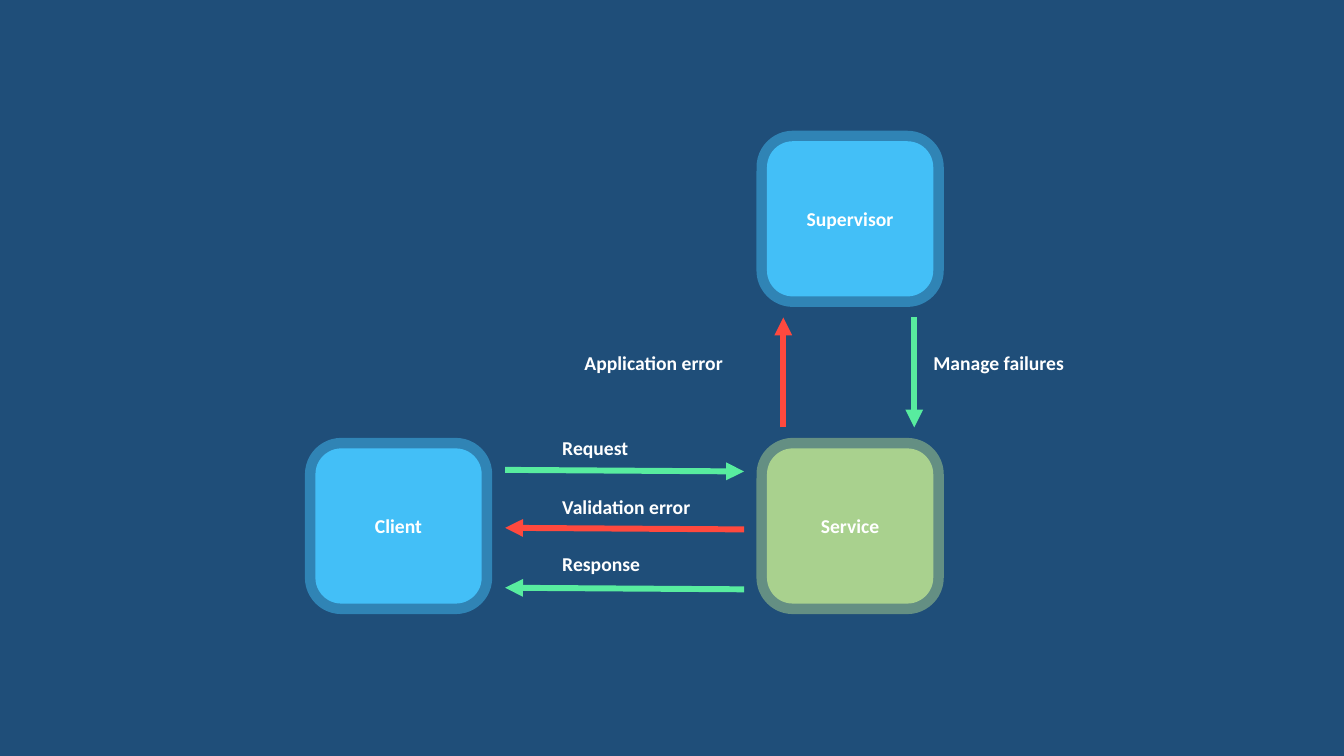
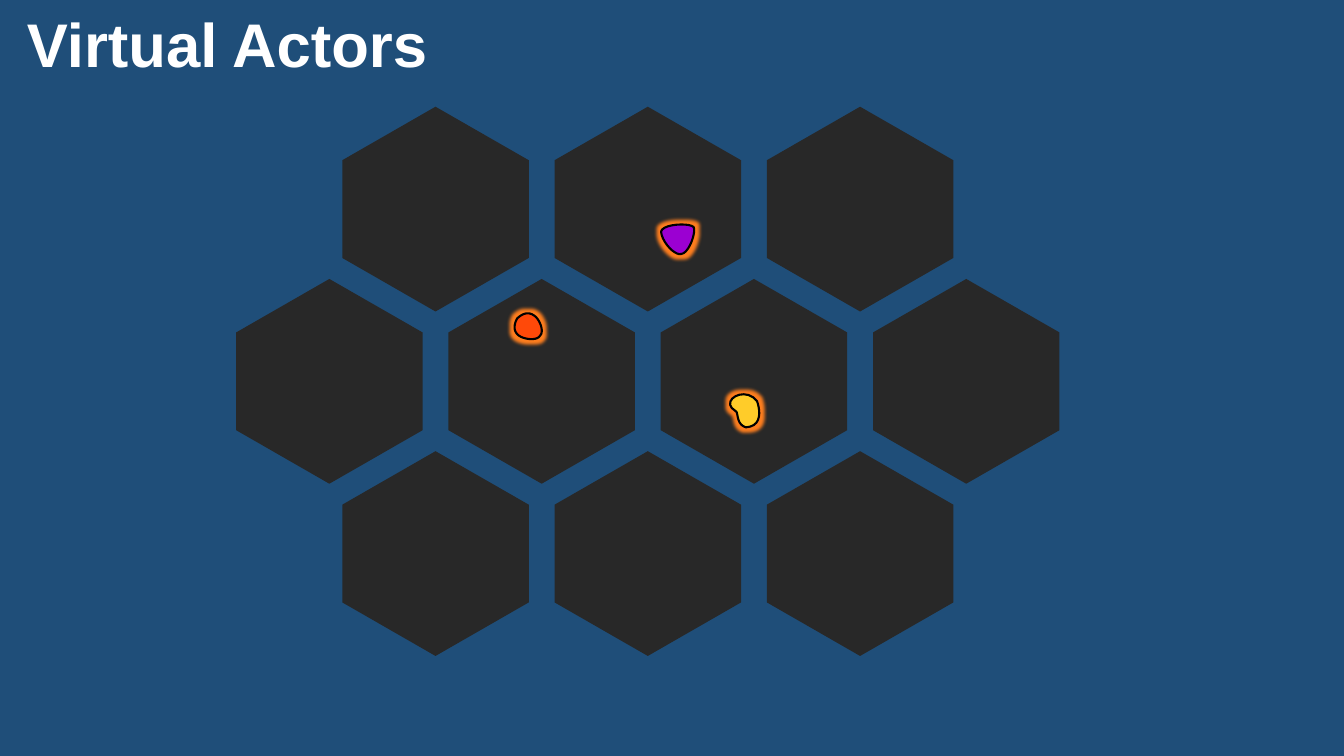
from lxml import etree
from pptx import Presentation
from pptx import util as u
from pptx.dml.color import RGBColor
from pptx.enum import shapes, text
from pptx.oxml import ns

NAVY = RGBColor(0x1F, 0x4E, 0x79)
SKY = RGBColor(0x43, 0xBF, 0xF7)
LEAF = RGBColor(0xA9, 0xD1, 0x8E)
GREEN = RGBColor(0x58, 0xEC, 0x9F)
RED = RGBColor(0xFF, 0x49, 0x3E)
WHITE = RGBColor(0xFF, 0xFF, 0xFF)
BLACK = RGBColor(0x00, 0x00, 0x00)
CHARCOAL = RGBColor(0x28, 0x28, 0x28)
YELLOW = RGBColor(0xFF, 0xCC, 0x29)
ORANGE = RGBColor(0xFF, 0x49, 0x09)
PURPLE = RGBColor(0x9B, 0x00, 0xD2)
GLOW = RGBColor(0xFF, 0x7F, 0x1F)

SLIDE_W, SLIDE_H = 33.87, 19.05
TITLE_ONLY, BLANK = 5, 6


def add_xml(parent, tag, **attributes):
    """Append a DrawingML child and return it."""
    return etree.SubElement(parent, ns.qn(tag), attributes)


def bezier(start, first, second, end, steps=10):
    """Return points along a cubic curve, without its start."""
    points = []
    for step in range(1, steps + 1):
        t = step / steps
        weights = ((1 - t) ** 3, 3 * t * (1 - t) ** 2, 3 * t * t * (1 - t), t ** 3)
        corners = (start, first, second, end)
        points.append(tuple(sum(w * c[axis] for w, c in zip(weights, corners))
                            for axis in (0, 1)))
    return points


class Deck:
    """Holds the shared style and the current slide."""

    def __init__(self):
        """Start a wide presentation with a navy master."""
        self.prs = Presentation()
        self.prs.slide_width, self.prs.slide_height = u.Cm(SLIDE_W), u.Cm(SLIDE_H)
        backdrop = self.prs.slide_master.background.fill
        backdrop.solid()
        backdrop.fore_color.rgb = NAVY
        self.slide = None

    def new_slide(self, layout):
        """Add a slide and make it current."""
        self.slide = self.prs.slides.add_slide(self.prs.slide_layouts[layout])

    def set_text(self, frame, wording, size=14, font="Calibri",
                 align=text.PP_ALIGN.LEFT):
        """Put bold white text in a frame."""
        frame.text = wording
        paragraph = frame.paragraphs[0]
        paragraph.alignment = align
        style = paragraph.runs[0].font
        style.size, style.name, style.bold = u.Pt(size), font, True
        style.color.rgb = WHITE

    def title(self, wording):
        """Place the title across the top of the slide."""
        heading = self.slide.shapes.title
        heading.left, heading.top = u.Cm(0), u.Cm(0.03)
        heading.width, heading.height = u.Cm(SLIDE_W), u.Cm(2.13)
        frame = heading.text_frame
        frame.margin_left = u.Cm(0.68)
        frame.vertical_anchor = text.MSO_ANCHOR.TOP
        self.set_text(frame, wording, 44, "Arial")

    def shape(self, kind, left, top, width, height, color):
        """Add a flat filled preset shape."""
        figure = self.slide.shapes.add_shape(
            kind, u.Cm(left), u.Cm(top), u.Cm(width), u.Cm(height))
        figure.shadow.inherit = False
        figure.fill.solid()
        figure.fill.fore_color.rgb = color
        return figure

    def node(self, name, left, top, color, opacity):
        """Add a rounded box with a translucent rim."""
        box = self.shape(shapes.MSO_SHAPE.ROUNDED_RECTANGLE,
                         left, top, 4.19, 3.91, color)
        box.line.color.rgb = color
        box.line.width = u.Pt(15)
        rim = box.element.spPr.get_or_add_ln().find(".//" + ns.qn("a:srgbClr"))
        add_xml(rim, "a:alpha", val=str(opacity * 1000))
        box.text_frame.vertical_anchor = text.MSO_ANCHOR.MIDDLE
        self.set_text(box.text_frame, name, align=text.PP_ALIGN.CENTER)

    def arrow(self, start, end, color):
        """Add a thick arrow that points at its end."""
        flow = self.slide.shapes.add_connector(
            shapes.MSO_CONNECTOR.STRAIGHT, *map(u.Cm, start + end))
        flow.line.color.rgb = color
        flow.line.width = u.Pt(4.25)
        properties = flow.element.spPr
        add_xml(properties.get_or_add_ln(), "a:tailEnd", type="triangle")
        add_xml(properties, "a:effectLst")

    def label(self, wording, left, top, width):
        """Add a one-line caption."""
        caption = self.slide.shapes.add_textbox(
            u.Cm(left), u.Cm(top), u.Cm(width), u.Cm(0.86))
        frame = caption.text_frame
        frame.word_wrap = False
        frame.auto_size = text.MSO_AUTO_SIZE.SHAPE_TO_FIT_TEXT
        self.set_text(frame, wording)

    def hexagon(self, left, top):
        """Add a hexagon standing on its point."""
        cell = self.shape(shapes.MSO_SHAPE.HEXAGON, left, top, 5.16, 4.7, CHARCOAL)
        cell.adjustments[0] = 0.287
        cell.rotation = 90
        cell.line.fill.background()

    def actor(self, start, curves, color):
        """Add a glowing blob bounded by cubic curves."""
        outline = [start]
        for curve in curves:
            outline += bezier(outline[-1], *curve)
        outline = [(u.Cm(x), u.Cm(y)) for x, y in outline]
        builder = self.slide.shapes.build_freeform(*outline[0])
        builder.add_line_segments(outline[1:], close=True)
        blob = builder.convert_to_shape()
        blob.fill.solid()
        blob.fill.fore_color.rgb = color
        blob.line.color.rgb = BLACK
        blob.line.width = u.Pt(1.5)
        effects = add_xml(blob.element.spPr, "a:effectLst")
        glow = add_xml(effects, "a:glow", rad=str(int(u.Pt(5))))
        add_xml(glow, "a:srgbClr", val=str(GLOW))


def supervision(deck):
    """Build the diagram of client, service and supervisor."""
    deck.new_slide(BLANK)
    client_x, service_x, lower_y = 7.95, 19.33, 11.3
    deck.node("Client", client_x, lower_y, SKY, 48)
    deck.node("Service", service_x, lower_y, LEAF, 50)
    deck.node("Supervisor", service_x, 3.56, SKY, 48)

    client_side, service_side = 12.73, 18.75
    deck.arrow((client_side, 11.84), (service_side, 11.88), GREEN)
    deck.arrow((service_side, 13.34), (client_side, 13.3), RED)
    deck.arrow((service_side, 14.85), (client_side, 14.81), GREEN)
    deck.arrow((19.74, 10.77), (19.74, 8), RED)
    deck.arrow((23.04, 8), (23.04, 10.77), GREEN)

    for wording, left, top, width in (
            ("Request", 13.92, 10.85, 2.34),
            ("Validation error", 13.92, 12.34, 3.96),
            ("Response", 13.92, 13.79, 2.72),
            ("Application error", 14.48, 8.71, 4.22),
            ("Manage failures", 23.27, 8.71, 4.11)):
        deck.label(wording, left, top, width)


def virtual_actors(deck):
    """Build the honeycomb with its three actors."""
    deck.new_slide(TITLE_ONLY)
    column_pitch, row_pitch, widest = 5.35, 4.34, 4
    for row, count in enumerate((3, 4, 3)):
        indent = (widest - count) * column_pitch / 2
        for column in range(count):
            deck.hexagon(5.72 + indent + column * column_pitch,
                         2.92 + row * row_pitch)
    deck.title("Virtual Actors")
    deck.actor((18.54, 10.36), (
        ((18.11, 10.11), (18.77, 9.7), (19.08, 10.11)),
        ((19.15, 10.31), (19.23, 10.74), (18.8, 10.77)),
        ((18.54, 10.69), (18.62, 10.39), (18.54, 10.36))), YELLOW)
    deck.actor((13.03, 8.03), (
        ((13.11, 7.95), (13.28, 7.82), (13.46, 7.95)),
        ((13.61, 8.05), (13.72, 8.36), (13.61, 8.46)),
        ((13.54, 8.59), (13.23, 8.56), (13.08, 8.46)),
        ((12.9, 8.33), (12.98, 8.13), (13.03, 8.03))), ORANGE)
    deck.actor((17.48, 5.72), (
        ((17.55, 5.84), (17.37, 6.38), (17.17, 6.4)),
        ((17.02, 6.45), (16.69, 6.12), (16.66, 5.84)),
        ((16.69, 5.64), (17.37, 5.61), (17.48, 5.72))), PURPLE)


deck = Deck()
supervision(deck)
virtual_actors(deck)
deck.prs.save("out.pptx")
